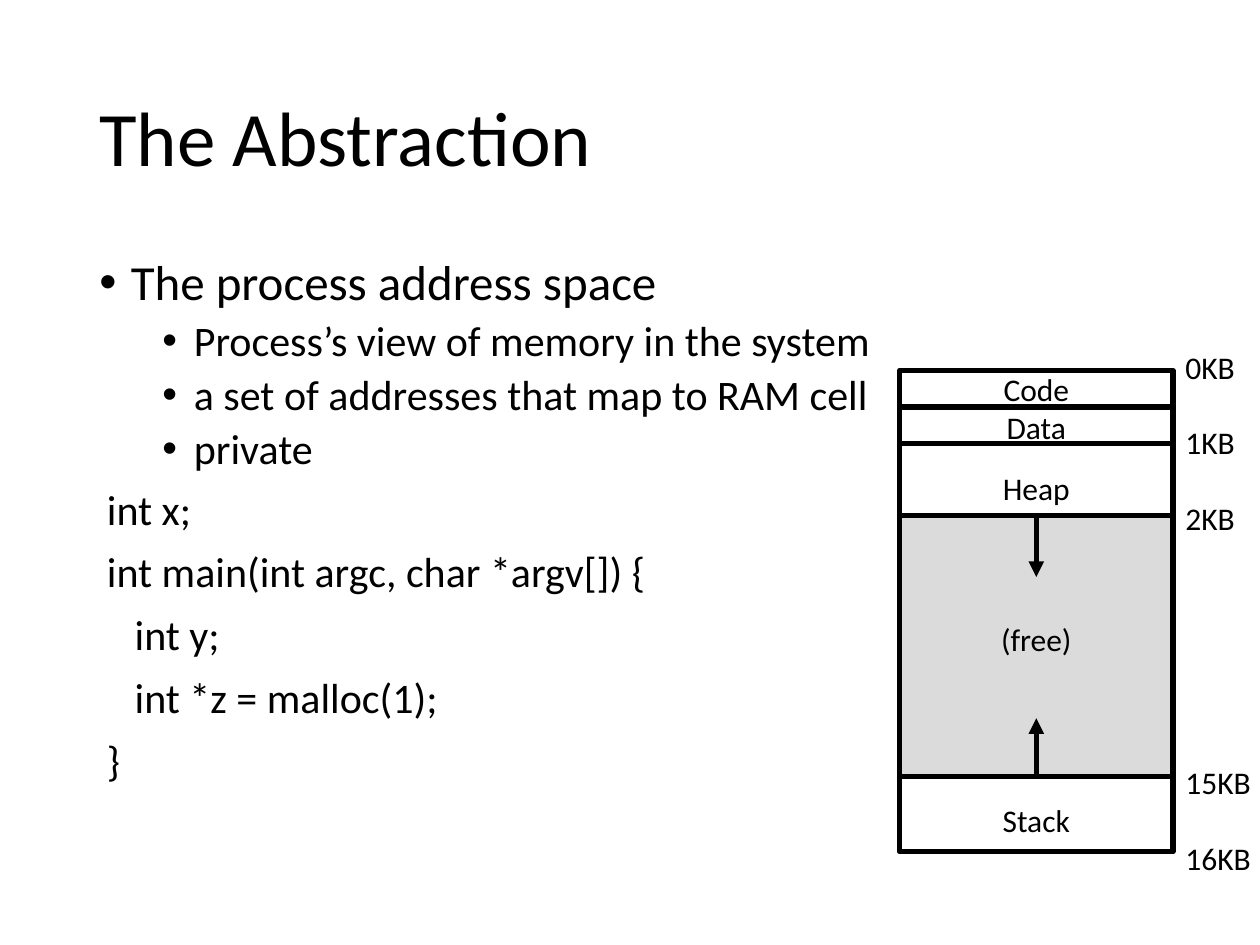
from lxml import etree
from pptx import Presentation
from pptx.dml.color import RGBColor
from pptx.enum.shapes import MSO_CONNECTOR, MSO_SHAPE
from pptx.enum.text import MSO_ANCHOR, PP_ALIGN
from pptx.oxml.ns import qn
from pptx.util import Inches, Pt

LEFT, CENTER = PP_ALIGN.LEFT, PP_ALIGN.CENTER
TOP, MIDDLE = MSO_ANCHOR.TOP, MSO_ANCHOR.MIDDLE
RECT, STRAIGHT = MSO_SHAPE.RECTANGLE, MSO_CONNECTOR.STRAIGHT

# Content
FONT = "Calibri"
COLORS = {"ink": "000000", "free": "DBDBDB", "free_edge": "43739E"}
TITLE = "The Abstraction"
# Paragraphs: text, size, left indent, space before, bullet
BULLETS = [("The process address space", 28, 0.25, 10, True)] + [
    (text, 24, 0.75, 5, True) for text in (
        "Process’s view of memory in the system",
        "a set of addresses that map to RAM cell",
        "private")]
CODE = [(text, 24, 0.22 * depth, 10, False) for text, depth in (
    ("int x;", 0),
    ("int main(int argc, char *argv[]) {", 0),
    ("int y;", 1),
    ("int *z = malloc(1);", 1),
    ("}", 0))]

# Memory map: column, segment borders, label centres
MAP_X, MAP_W, MAP_TOP, MAP_H = 7.14, 2.17, 2.94, 3.82
CODE_END, DATA_END, HEAP_END, STACK_START = 3.23, 3.52, 4.09, 6.16
SEGMENTS = [("Code", 3.09), ("Data", 3.39), ("Heap", 3.87),
            ("(free)", 5.07), ("Stack", 6.51)]
ROW, FIRST_ROW = 0.3, 2.91
ADDRESSES = [("0KB", 0), ("1KB", 2), ("2KB", 4), ("15KB", 11), ("16KB", 13)]
ARROWS = [(HEAP_END, 4.58), (STACK_START, 5.7)]

prs = Presentation()
prs.slide_width, prs.slide_height = Inches(10), Inches(7.5)
s = prs.slides.add_slide(prs.slide_layouts[6])


def rgb(name):
    return RGBColor.from_string(COLORS[name])


def add_text(paragraphs, x, y, w, h, align=LEFT, anchor=TOP, spacing=0.9, wrap=True):
    tf = s.shapes.add_textbox(*map(Inches, (x, y, w, h))).text_frame
    tf.word_wrap, tf.vertical_anchor = wrap, anchor
    for i, (text, size, indent, before, bullet) in enumerate(paragraphs):
        p = tf.add_paragraph() if i else tf.paragraphs[0]
        p.alignment, p.line_spacing, p.space_before = align, spacing, Pt(before)
        pPr = p._p.get_or_add_pPr()
        pPr.set("marL", str(Inches(indent)))
        if bullet:
            pPr.set("indent", str(Inches(-0.25)))
            etree.SubElement(pPr, qn("a:buFont")).set("typeface", "Arial")
            etree.SubElement(pPr, qn("a:buChar")).set("char", "•")
        r = p.add_run()
        r.text = text
        r.font.name, r.font.size = FONT, Pt(size)
        r.font.color.rgb = rgb("ink")


def add_rect(y, h, line, width, fill=None):
    sp = s.shapes.add_shape(RECT, *map(Inches, (MAP_X, y, MAP_W, h)))
    sp.shadow.inherit = False
    if fill:
        sp.fill.solid()
        sp.fill.fore_color.rgb = rgb(fill)
    else:
        sp.fill.background()
    sp.line.color.rgb, sp.line.width = rgb(line), Pt(width)


def add_line(x1, y1, x2, y2, arrow=False):
    cxn = s.shapes.add_connector(STRAIGHT, *map(Inches, (x1, y1, x2, y2)))
    cxn.line.color.rgb, cxn.line.width = rgb("ink"), Pt(3)
    if arrow:
        ln = cxn.line._get_or_add_ln()
        etree.SubElement(ln, qn("a:tailEnd")).set("type", "triangle")
    etree.SubElement(cxn._element.spPr, qn("a:effectLst"))


# Title, bullets and code
add_text([(TITLE, 44, 0, 0, False)], 0.69, 0.4, 8.62, 1.45, anchor=MIDDLE)
add_text(BULLETS, 0.69, 2, 8.99, 4.76)
add_rect(HEAP_END, STACK_START - HEAP_END, "free_edge", 1, "free")
add_text(CODE, 0.75, 3.83, 5.79, 3.22)

# Memory map
add_rect(MAP_TOP, MAP_H, "ink", 3)
for y in (CODE_END, DATA_END, HEAP_END, STACK_START):
    add_line(MAP_X, y, MAP_X + MAP_W, y)
mid = MAP_X + MAP_W / 2
for start, end in ARROWS:
    add_line(mid, start, mid, end, arrow=True)

# Segment names and addresses
for name, y in SEGMENTS:
    add_text([(name, 18, 0, 0, False)], MAP_X, y - 0.2, MAP_W, 0.4,
             align=CENTER, anchor=MIDDLE, spacing=1.0)
for address, row in ADDRESSES:
    add_text([(address, 18, 0, 0, False)], MAP_X + MAP_W, FIRST_ROW + row * ROW - 0.2,
             0.73, 0.4, anchor=MIDDLE, spacing=1.0, wrap=False)

prs.save("out.pptx")
